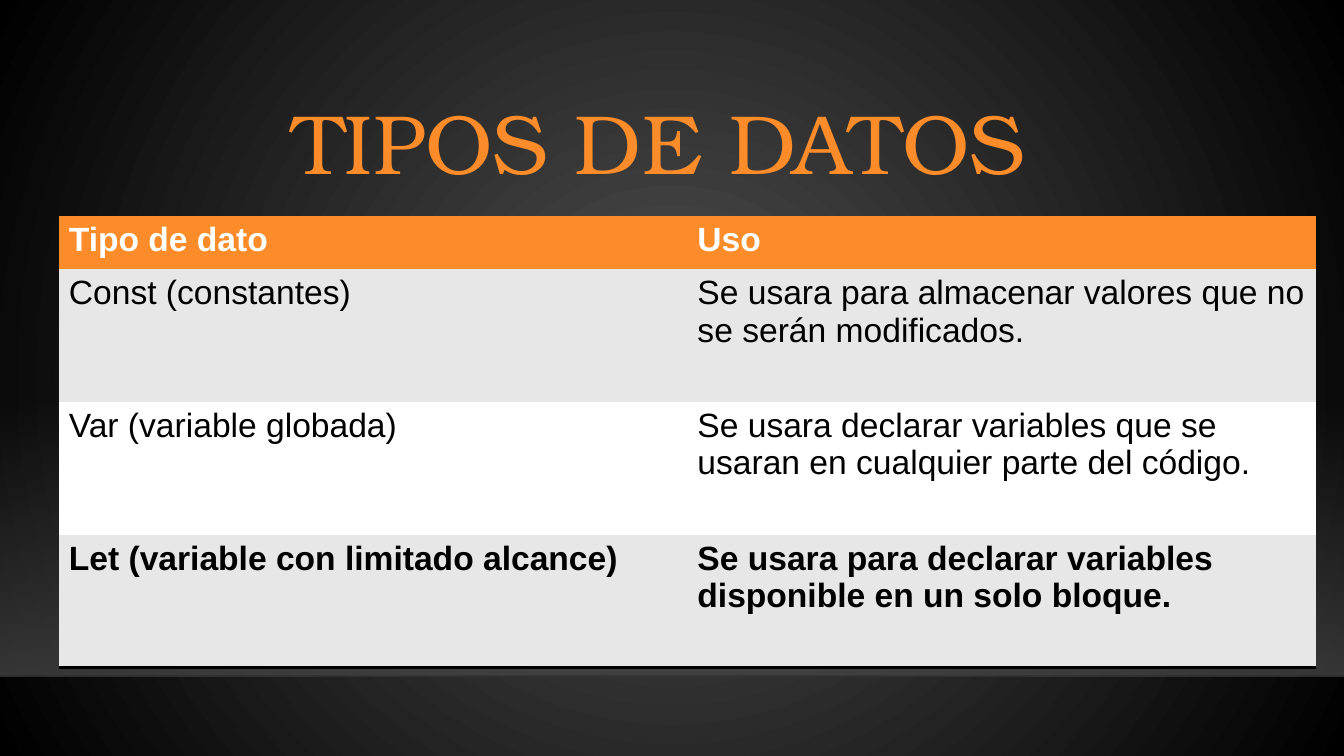
from pptx import Presentation
from pptx.dml.color import RGBColor
from pptx.enum.shapes import MSO_CONNECTOR, MSO_SHAPE
from pptx.enum.text import MSO_ANCHOR, PP_ALIGN
from pptx.oxml import parse_xml
from pptx.oxml.ns import nsdecls, qn
from pptx.util import Pt

# Content
TITLE = "TIPOS DE DATOS "
ROWS = [
    ("Tipo de dato ", "Uso"),
    ("Const (constantes)",
     "Se usara para almacenar valores que no se serán modificados."),
    ("Var (variable globada)",
     "Se usara declarar variables que se usaran en cualquier parte del código."),
    ("Let (variable con limitado alcance)",
     "Se usara para declarar variables disponible en un solo bloque. "),
]

# Style
ORANGE = RGBColor(0xFB, 0x8C, 0x29)
WHITE = RGBColor(0xFF, 0xFF, 0xFF)
BLACK = RGBColor(0x00, 0x00, 0x00)
LINE_BLACK = RGBColor(0x00, 0x00, 0x01)
BAND_GRAY = RGBColor(0xE7, 0xE7, 0xE7)
CENTER_GRAY = RGBColor(0x50, 0x50, 0x50)
FLOOR_GRAY = RGBColor(0x45, 0x45, 0x45)
TITLE_FONT, TABLE_FONT = "TeX Gyre Bonum", "Arial"
NO_TABLE_STYLE = "{2D5ABB26-0587-4C30-8999-92F81FD0307C}"

# Layout in points
WIDTH, HEIGHT = 960, 540
FLOOR_TOP, FLOOR_BOTTOM = 285, 483
TABLE_LEFT, TABLE_TOP, COLUMN_WIDTH = 42, 154, 449
HEADER_HEIGHT, ROW_HEIGHT = 38.4, 94.8

CIRCLE = ('<a:path path="circle"><a:fillToRect l="50000" t="50000" '
          'r="50000" b="50000"/></a:path>')
DOWNWARD = '<a:lin ang="5400000" scaled="0"/>'


def set_gradient(fill, parent, stops, direction):
    """Fill with (color, opacity percent) stops, first to last."""
    fill.gradient()
    stop_xml = "".join(
        f'<a:gs pos="{position}"><a:srgbClr val="{color}">'
        f'<a:alpha val="{opacity * 1000}"/></a:srgbClr></a:gs>'
        for position, (color, opacity) in zip((0, 100000), stops))
    old_fill = next(parent.iter(qn("a:gradFill")))
    old_fill.getparent().replace(old_fill, parse_xml(
        f'<a:gradFill {nsdecls("a")} rotWithShape="1">'
        f'<a:gsLst>{stop_xml}</a:gsLst>{direction}</a:gradFill>'))


presentation = Presentation()
presentation.slide_width, presentation.slide_height = Pt(WIDTH), Pt(HEIGHT)
slide = presentation.slides.add_slide(presentation.slide_layouts[5])

# Background
set_gradient(slide.background.fill, slide.element,
             [(CENTER_GRAY, 100), (BLACK, 100)], CIRCLE)

# Floor glow and its edge
floor = slide.shapes.add_shape(MSO_SHAPE.RECTANGLE, 0, Pt(FLOOR_TOP),
                               Pt(WIDTH), Pt(FLOOR_BOTTOM - FLOOR_TOP))
floor.shadow.inherit = False
floor.line.fill.background()
set_gradient(floor.fill, floor.element,
             [(FLOOR_GRAY, 0), (FLOOR_GRAY, 80)], DOWNWARD)

edge = slide.shapes.add_connector(MSO_CONNECTOR.STRAIGHT, 0, Pt(FLOOR_BOTTOM),
                                  Pt(WIDTH), Pt(FLOOR_BOTTOM))
edge.line.width = Pt(1)
edge.line.color.rgb = LINE_BLACK
next(edge.element.spPr.iter(qn("a:srgbClr"))).append(
    parse_xml(f'<a:alpha {nsdecls("a")} val="20000"/>'))
edge.element.spPr.append(parse_xml(f'<a:effectLst {nsdecls("a")}/>'))

# Title, in front of the floor
title = slide.shapes.title
slide.shapes.element.append(title.element)
title.left, title.top, title.width, title.height = map(Pt, (114.5, 63.5, 731.5, 83))
title.text_frame.text = TITLE
title.text_frame.vertical_anchor = MSO_ANCHOR.MIDDLE
paragraph = title.text_frame.paragraphs[0]
paragraph.alignment = PP_ALIGN.CENTER
paragraph.line_spacing = 0.9
paragraph.font.name, paragraph.font.size = TITLE_FONT, Pt(60)
paragraph.font.color.rgb = ORANGE

# Table
last = len(ROWS) - 1
table = slide.shapes.add_table(
    len(ROWS), 2, Pt(TABLE_LEFT), Pt(TABLE_TOP), Pt(2 * COLUMN_WIDTH),
    Pt(HEADER_HEIGHT + last * ROW_HEIGHT)).table
next(table._tbl.iter(qn("a:tableStyleId"))).text = NO_TABLE_STYLE
for column in table.columns:
    column.width = Pt(COLUMN_WIDTH)
for r, texts in enumerate(ROWS):
    header = r == 0
    table.rows[r].height = Pt(HEADER_HEIGHT if header else ROW_HEIGHT)
    for c, text in enumerate(texts):
        cell = table.cell(r, c)
        cell.text = text
        font = cell.text_frame.paragraphs[0].font
        font.name, font.size = TABLE_FONT, Pt(24)
        font.bold = r in (0, last)
        font.color.rgb = WHITE if header else BLACK
        if r == last:
            cell._tc.get_or_add_tcPr().append(parse_xml(
                f'<a:lnB {nsdecls("a")} w="{Pt(2)}"><a:solidFill>'
                f'<a:srgbClr val="{BLACK}"/></a:solidFill></a:lnB>'))
        cell.fill.solid()
        cell.fill.fore_color.rgb = ORANGE if header else BAND_GRAY if r % 2 else WHITE

presentation.save("out.pptx")
